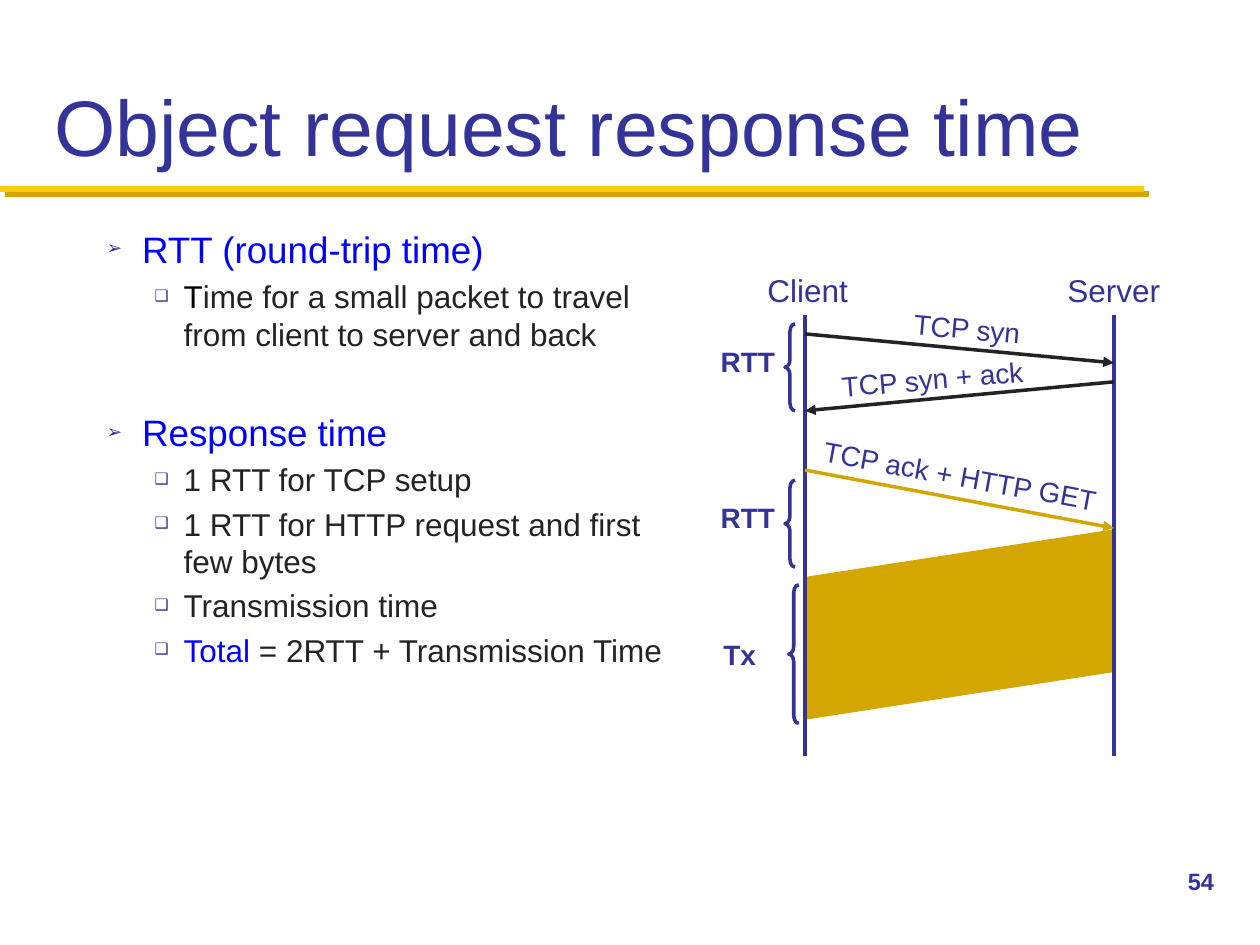
from lxml import etree
from pptx import Presentation
from pptx import util as u
from pptx.dml.color import RGBColor
from pptx.enum import shapes, text
from pptx.oxml import ns

NAVY = RGBColor(0x33, 0x33, 0x99)
BLUE = RGBColor(0x00, 0x00, 0xFF)
BLACK = RGBColor(0x00, 0x00, 0x00)
INK = RGBColor(0x23, 0x23, 0x23)
YELLOW = RGBColor(0xFF, 0xCB, 0x05)
GOLD = RGBColor(0xD3, 0xA6, 0x00)
FONT = "Arial"
W, H = 10, 7.5


def add_xml(parent, tag, **attrs):
    return etree.SubElement(parent, ns.qn(tag), attrs)


def add_run(p, content, size=18, color=NAVY, bold=False):
    r = p.add_run()
    r.text = content
    r.font.name, r.font.size, r.font.bold = FONT, u.Pt(size), bold
    r.font.color.rgb = color


def add_text(s, box, content="", align=text.PP_ALIGN.LEFT, wrap=True,
             anchor=text.MSO_ANCHOR.TOP, rotation=0, **fmt):
    sp = s.shapes.add_textbox(*[u.Inches(v) for v in box])
    sp.rotation = rotation
    tf = sp.text_frame
    tf.word_wrap, tf.vertical_anchor = wrap, anchor
    p = tf.paragraphs[0]
    p.alignment = align
    if content:
        add_run(p, content, **fmt)
    return tf


def add_line(s, start, end, color, width=2, arrow=False):
    """Straight line; returns its empty effect list."""
    c = s.shapes.add_connector(shapes.MSO_CONNECTOR.STRAIGHT,
                               *[u.Inches(v) for v in (*start, *end)])
    c.line.color.rgb, c.line.width = color, u.Pt(width)
    if arrow:
        add_xml(c.line._get_or_add_ln(), "a:tailEnd", type="triangle")
    return add_xml(c._element.spPr, "a:effectLst")


def add_shape(s, kind, box):
    sp = s.shapes.add_shape(kind, *[u.Inches(v) for v in box])
    sp.shadow.inherit = False
    return sp


def header(s, box):
    # Title
    title = s.shapes.title
    title.left, title.top, title.width, title.height = [u.Inches(v) for v in box]
    tf = title.text_frame
    tf.vertical_anchor = text.MSO_ANCHOR.BOTTOM
    tf.auto_size = text.MSO_AUTO_SIZE.NONE
    p = tf.paragraphs[0]
    p.alignment = text.PP_ALIGN.LEFT
    add_run(p, "Object request response time", size=45)
    # Rule with a hard shadow
    y = 0.2 * H
    effects = add_line(s, (0, y), (0.908 * W, y), YELLOW, 3.5)
    shadow = add_xml(effects, "a:outerShdw", dist=str(u.Pt(4.2)), dir="2700000",
                     algn="ctr", rotWithShape="0")
    add_xml(shadow, "a:srgbClr", val=str(GOLD))


def bullet_list(s, box):
    # Each item: level, space before, coloured runs
    items = [
        (0, 0, [("RTT (round-trip time)", BLUE)]),
        (1, 3.6, [("T", BLACK),
                  ("ime for a small packet to travel from client to server and back", INK)]),
        (0, 33, [("Response time", BLUE)]),
        (1, 3.6, [("1 RTT for TCP setup", INK)]),
        (1, 3.6, [("1 RTT for HTTP request and first few bytes", INK)]),
        (1, 3.6, [("Transmission time", INK)]),
        (1, 3.6, [("Total", BLUE), (" = 2RTT + Transmission Time", INK)]),
    ]
    # Each level: text size, margin, hanging indent, bullet
    levels = [(21, 0.28, 0.28, "➢"), (18, 0.61, 0.23, "❑")]
    tf = add_text(s, box)
    for i, (level, before, runs) in enumerate(items):
        size, margin, hang, mark = levels[level]
        p = tf.add_paragraph() if i else tf.paragraphs[0]
        p.level, p.space_before = level, u.Pt(before)
        pPr = p._p.get_or_add_pPr()
        pPr.set("marL", str(u.Inches(margin)))
        pPr.set("indent", str(-u.Inches(hang)))
        add_xml(add_xml(pPr, "a:buClr"), "a:srgbClr", val=str(NAVY))
        add_xml(pPr, "a:buSzPct", val="50000")
        add_xml(pPr, "a:buFont", typeface=FONT)
        add_xml(pPr, "a:buChar", char=mark)
        for content, color in runs:
            add_run(p, content, size=size, color=color)


def sequence_diagram(s, box):
    left, top, width, height = box
    cols, rows = 24.5, 35
    cw, rh = width / cols, height / rows

    def at(col, row):
        return left + col * cw, top + row * rh

    def label(content, col, row, **fmt):
        x, y = at(col, row)
        w, h = 0.16 * len(content) + 0.3, 0.4
        add_text(s, (x - w / 2, y - h / 2, w, h), content, wrap=False,
                 align=text.PP_ALIGN.CENTER, anchor=text.MSO_ANCHOR.MIDDLE, **fmt)

    # Transmitted data: a parallelogram on its side
    band_w, band_h = 15.1 * rh, width
    x, y = at(cols / 2, 24.55)
    band = add_shape(s, shapes.MSO_SHAPE.PARALLELOGRAM,
                     (x - band_w / 2, y - band_h / 2, band_w, band_h))
    band.adjustments[0] = 0.25
    band.rotation = 270
    band._element.spPr.xfrm.set("flipH", "1")
    band.fill.solid()
    band.fill.fore_color.rgb = GOLD
    band.line.fill.background()

    # Time lines
    for name, col, name_col in [("Client", 0, 0.2), ("Server", cols, cols)]:
        add_line(s, at(col, 0), at(col, rows), NAVY)
        label(name, name_col, -2)

    # Messages: text, start, end, colour, label centre, label rotation
    messages = [
        ("TCP syn", (0, 1.5), (cols, 3.8), INK, (12.85, 1.05), 5.1),
        ("TCP syn + ack", (cols, 5.3), (0, 7.6), INK, (10.1, 5.05), 355.2),
        ("TCP ack + HTTP GET", (0, 12.3), (cols, 16.9), GOLD, (12.3, 12.75), 10.4),
    ]
    for content, start, end, color, centre, angle in messages:
        add_line(s, at(*start), at(*end), color, arrow=True)
        label(content, *centre, size=16, rotation=angle)

    # Durations: text, brace column, first row, rows, label centre
    durations = [
        ("RTT", -1.6, 0.7, 6.9, (-4.55, 3.65)),
        ("RTT", -1.6, 13.1, 6.9, (-4.55, 16.05)),
        ("Tx", -1.3, 21.4, 11, (-5.2, 26.95)),
    ]
    for content, col, row, span, centre in durations:
        brace = add_shape(s, shapes.MSO_SHAPE.LEFT_BRACE,
                          (*at(col, row), 0.8 * cw, span * rh))
        brace.adjustments[0], brace.adjustments[1] = 0.75, 0.5
        brace.fill.background()
        brace.line.color.rgb, brace.line.width = NAVY, u.Pt(2)
        label(content, *centre, size=16, bold=True)


def main():
    prs = Presentation()
    prs.slide_width, prs.slide_height = u.Inches(W), u.Inches(H)
    s = prs.slides.add_slide(prs.slide_layouts[5])
    header(s, (0.033 * W, 0.022 * H, 0.933 * W, 0.167 * H))
    bullet_list(s, (0.075 * W, 0.233 * H, 0.474 * W, 0.644 * H))
    sequence_diagram(s, (0.639 * W, H / 3, 0.245 * W, 0.467 * H))
    # Slide number
    add_text(s, (0.933 * W, 0.911 * H, 0.067 * W, 0.067 * H), "54", size=13.5, bold=True)
    prs.save("out.pptx")


if __name__ == "__main__":
    main()
